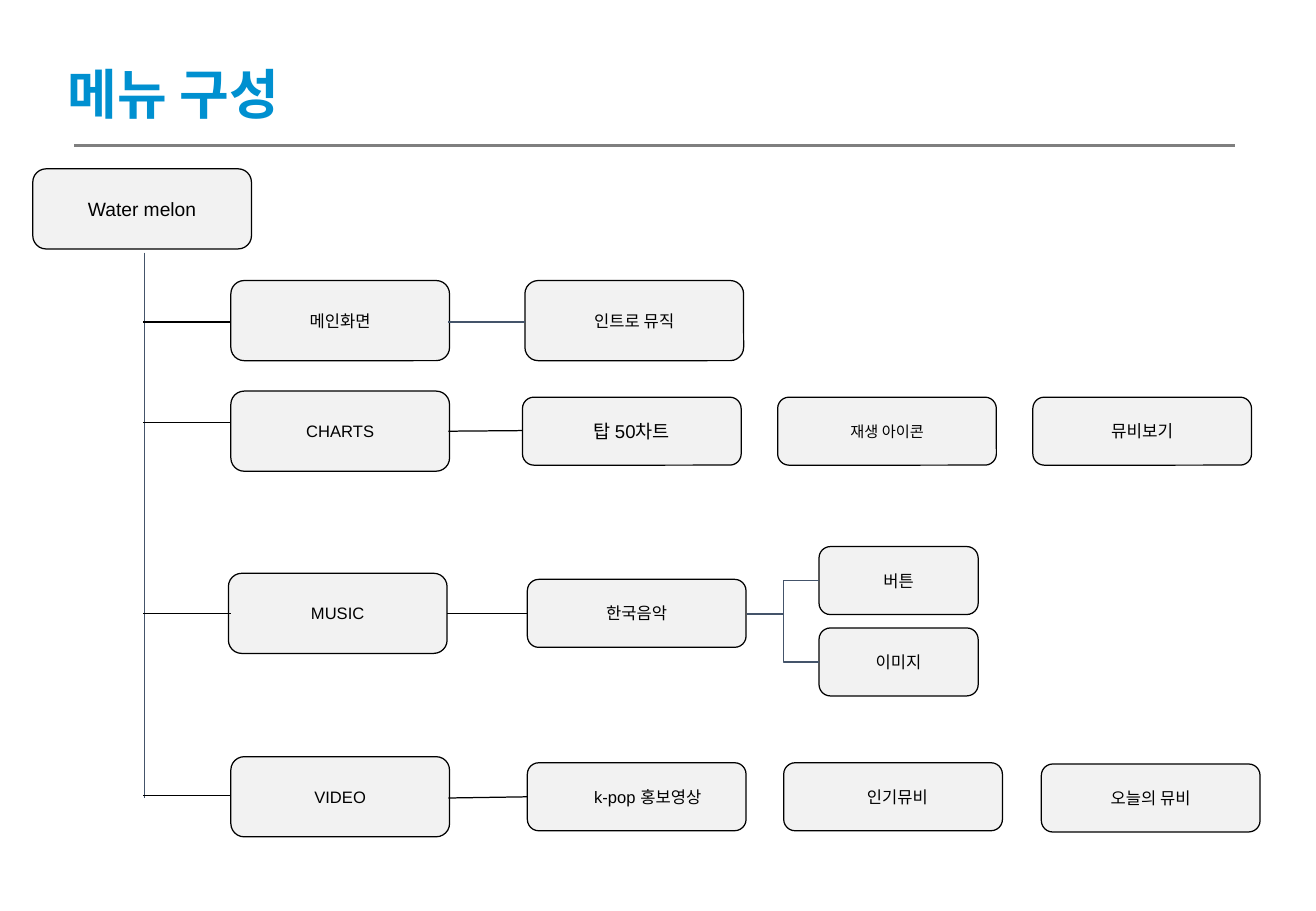
from pptx import Presentation, util as u
from pptx.dml.color import RGBColor
from pptx.enum import shapes, text
from lxml import etree

COLORS = {"title": "0090D0", "rule": "7F7F7F", "box": "F2F2F2",
          "ink": "000000", "slate": "44546A"}
DRAWING = "http://schemas.openxmlformats.org/drawingml/2006/main"
# The grid has ten columns and ten rows to the inch.
WIDTH, HEIGHT = 108.3, 75
BOX_WIDTH, TALL, LOW, NARROW = 18, 6.6, 5.6, 13.1


class MenuSlide:
    label = {"name": "Arial", "size": u.Pt(9.8)}
    heading = {"name": "Calibri", "size": u.Pt(32), "bold": True}

    def __init__(self):
        self.deck = Presentation()
        self.deck.slide_width, self.deck.slide_height = self.grid(WIDTH, HEIGHT)
        self.slide = self.deck.slides.add_slide(self.deck.slide_layouts[6])

    @staticmethod
    def grid(*cells):
        """Turn grid columns and rows into lengths."""
        return [u.Inches(cell / 10) for cell in cells]

    @staticmethod
    def color(name):
        return RGBColor.from_string(COLORS[name])

    def add_wording(self, frame, wording, color, style):
        frame.word_wrap = True
        paragraph = frame.paragraphs[0]
        run = paragraph.add_run()
        run.text = wording
        run.font.color.rgb = self.color(color)
        for key, value in style.items():
            setattr(run.font, key, value)
        return paragraph

    def title(self, wording, left, top, width, height):
        frame = self.slide.shapes.add_textbox(
            *self.grid(left, top, width, height)).text_frame
        self.add_wording(frame, wording, "title", self.heading)
        frame.auto_size = text.MSO_AUTO_SIZE.SHAPE_TO_FIT_TEXT

    def box(self, wording, left, top, height=LOW, width=BOX_WIDTH, size=9.8, indent=0):
        """Add a menu box; indent moves its label to the right."""
        item = self.slide.shapes.add_shape(
            shapes.MSO_SHAPE.ROUNDED_RECTANGLE, *self.grid(left, top, width, height))
        item.shadow.inherit = False
        item.fill.solid()
        item.fill.fore_color.rgb = self.color("box")
        item.line.color.rgb = self.color("ink")
        item.line.width = u.Pt(0.75)
        frame = item.text_frame
        frame.vertical_anchor = text.MSO_ANCHOR.MIDDLE
        frame.margin_left = u.Inches(0.1 + indent / 10)
        paragraph = self.add_wording(frame, wording, "ink",
                                     {**self.label, "size": u.Pt(size)})
        paragraph.alignment = text.PP_ALIGN.CENTER

    def line(self, x1, y1, x2, y2, color="ink", weight=0.75, kind="STRAIGHT"):
        link = self.slide.shapes.add_connector(
            shapes.MSO_CONNECTOR[kind], *self.grid(x1, y1, x2, y2))
        link.line.color.rgb = self.color(color)
        link.line.width = u.Pt(weight)
        etree.SubElement(link._element.spPr, f"{{{DRAWING}}}effectLst")


def main():
    menu = MenuSlide()
    menu.title("메뉴 구성", 4.6, 4.5, 21, 6.4)
    menu.line(6.1, 12, 101.6, 12, "rule", 1.5)

    menu.box("Water melon", 2.7, 13.9, TALL, size=11.4)
    for section, left, top in (("메인화면", 19, 23.1), ("CHARTS", 19, 32.2),
                               ("MUSIC", 18.8, 47.2), ("VIDEO", 19, 62.3)):
        menu.box(section, left, top, TALL)

    menu.box("인트로 뮤직", 43.2, 23.1, TALL)
    for page, left, size in (("탑 50차트", 43, 11), ("재생 아이콘", 64, 9),
                             ("뮤비보기", 85, 10)):
        menu.box(page, left, 32.7, size=size)
    menu.box("한국음악", 43.4, 47.7)
    for part, top in (("버튼", 45), ("이미지", 51.7)):
        menu.box(part, 67.4, top, width=NARROW)
    for video, left, top, indent in (("k-pop 홍보영상", 43.4, 62.8, 1.8),
                                     ("인기뮤비", 64.5, 62.8, 0.7),
                                     ("오늘의 뮤비", 85.7, 62.9, 0)):
        menu.box(video, left, top, indent=indent)

    menu.line(11.9, 20.8, 11.9, 65.7, "slate")
    for branch in (26.5, 34.8, 50.5, 65.5):
        menu.line(11.8, branch, 19, branch)
    menu.line(36.9, 26.5, 43.2, 26.5, "slate")
    menu.line(36.9, 35.5, 43, 35.45)
    menu.line(36.8, 50.5, 43.4, 50.5, kind="ELBOW")
    menu.line(36.9, 65.7, 43.4, 65.6)
    for start, end in ((50.6, 47.8), (50.5, 54.5)):
        menu.line(61.5, start, 67.4, end, "slate", kind="ELBOW")

    menu.deck.save("out.pptx")


if __name__ == "__main__":
    main()
